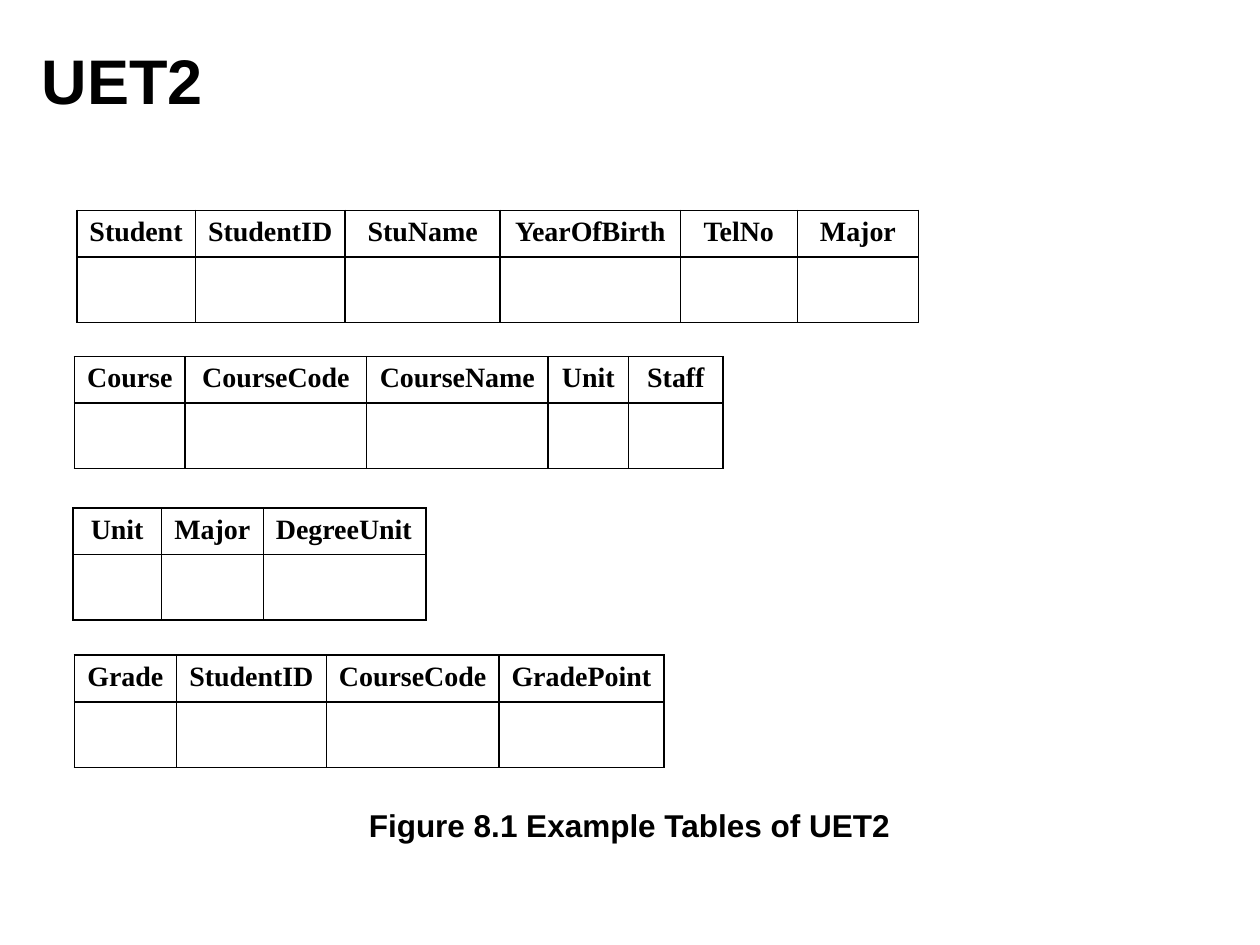
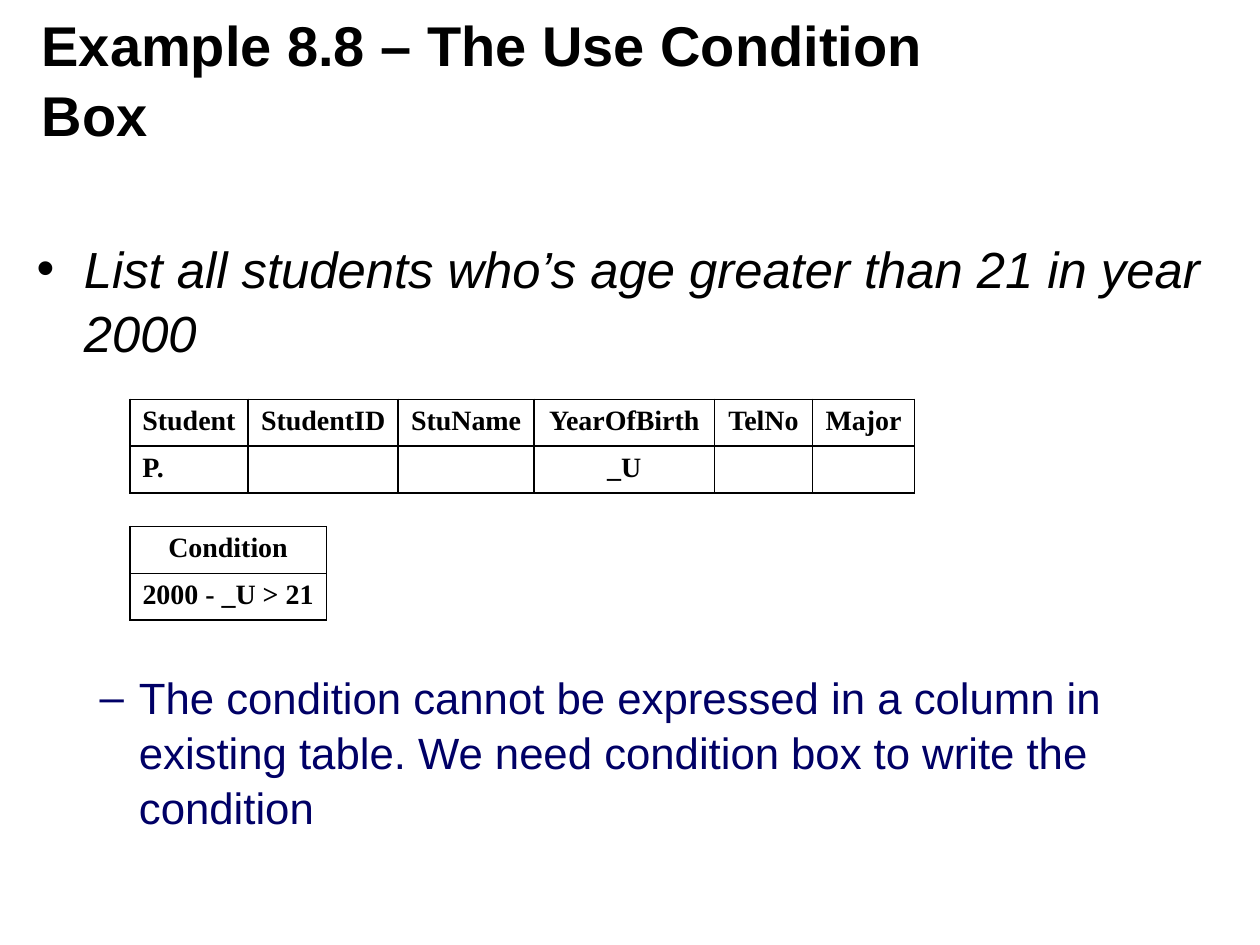
"""Build two slides on the tables of UET2 and the use of a condition box."""
from dataclasses import dataclass

import lxml.etree
import pptx
import pptx.dml.color
import pptx.enum.text
import pptx.oxml.ns
import pptx.slide
import pptx.text.text
import pptx.util

Inches = pptx.util.Inches
Pt = pptx.util.Pt
Align = pptx.enum.text.PP_ALIGN
Anchor = pptx.enum.text.MSO_ANCHOR
AutoSize = pptx.enum.text.MSO_AUTO_SIZE
qn = pptx.oxml.ns.qn

BLACK = pptx.dml.color.RGBColor(0x00, 0x00, 0x00)
NAVY = pptx.dml.color.RGBColor(0x00, 0x00, 0x66)
SANS = "Arial"
SERIF = "Times New Roman"
CELL_SIZE = 16
HEAD_ROW = 0.37
TALL_ROW = 0.52


@dataclass(frozen=True)
class Grid:
    """A table with one head row and one entry row."""

    left: float
    top: float
    heads: tuple[str, ...]
    widths: tuple[float, ...]
    entries: tuple[str, ...] = ()
    height: float = TALL_ROW
    left_texts: tuple[str, ...] = ()


@dataclass(frozen=True)
class Point:
    """A list item with its level and look."""

    text: str
    level: int
    size: float
    color: pptx.dml.color.RGBColor
    italic: bool = False
    before: float = 0


UET2_GRIDS = (
    Grid(0.61, 1.67, ("Student", "StudentID", "StuName", "YearOfBirth", "TelNo", "Major"),
         (0.94, 1.19, 1.23, 1.43, 0.93, 0.96)),
    Grid(0.59, 2.83, ("Course", "CourseCode", "CourseName", "Unit", "Staff"),
         (0.88, 1.44, 1.44, 0.64, 0.75)),
    Grid(0.58, 4.03, ("Unit", "Major", "DegreeUnit"), (0.7, 0.81, 1.29),
         left_texts=("DegreeUnit",)),
    Grid(0.59, 5.2, ("Grade", "StudentID", "CourseCode", "GradePoint"),
         (0.81, 1.19, 1.37, 1.31)),
)
QUERY_GRIDS = (
    Grid(1.03, 3.17, ("Student", "StudentID", "StuName", "YearOfBirth", "TelNo", "Major"),
         (0.94, 1.19, 1.08, 1.43, 0.78, 0.81), ("P.", "", "", "_U", "", ""), HEAD_ROW, ("P.",)),
    Grid(1.03, 4.18, ("Condition",), (1.56,), ("2000 - _U > 21",), HEAD_ROW),
)
POINTS = (
    Point("List all students who’s age greater than 21 in year 2000", 0, 29, BLACK, italic=True),
    Point("The condition cannot be expressed in a column in existing table. "
          "We need condition box to write the condition", 1, 25, NAVY, before=175),
)


def style(par: pptx.text.text._Paragraph, name: str, size: float, bold: bool = False,
          italic: bool = False, color: pptx.dml.color.RGBColor = BLACK) -> None:
    """Format every run of a paragraph."""
    for run in par.runs:
        run.font.name = name
        run.font.size = Pt(size)
        run.font.bold = bold
        run.font.italic = italic
        run.font.color.rgb = color


def place(shape, left: float, top: float, width: float, height: float) -> None:
    """Move and size a shape."""
    shape.left, shape.top = Inches(left), Inches(top)
    shape.width, shape.height = Inches(width), Inches(height)


def add_title(slide: pptx.slide.Slide, text: str, size: float) -> None:
    """Fill the title in the shared title style."""
    title = slide.shapes.title
    place(title, 0.23, 0.15, 8.03, 0.93)
    frame = title.text_frame
    frame.text = text
    frame.auto_size = AutoSize.NONE
    frame.vertical_anchor = Anchor.MIDDLE
    par = frame.paragraphs[0]
    par.alignment = Align.LEFT
    par.line_spacing = 1.04
    style(par, SANS, size, bold=True)


def add_points(slide: pptx.slide.Slide, points: tuple[Point, ...]) -> None:
    """Fill the body with list items."""
    body = slide.placeholders[1]
    place(body, 0.19, 1.81, 9.61, 4.82)
    frame = body.text_frame
    frame.text = "\n".join(point.text for point in points)
    frame.auto_size = AutoSize.NONE
    for par, point in zip(frame.paragraphs, points):
        par.level = point.level
        par.space_before = Pt(point.before)
        par.line_spacing = 1.05
        style(par, SANS, point.size, italic=point.italic, color=point.color)


def rule_cell(cell) -> None:
    """Draw thin black lines round a cell and clear its fill."""
    props = cell._tc.get_or_add_tcPr()
    for side in ("lnL", "lnR", "lnT", "lnB"):
        line = lxml.etree.SubElement(props, qn(f"a:{side}"), w=str(Pt(0.96)))
        fill = lxml.etree.SubElement(line, qn("a:solidFill"))
        lxml.etree.SubElement(fill, qn("a:srgbClr"), val=str(BLACK))
    cell.fill.background()


def fill_cell(cell, text: str, align: Align) -> None:
    """Write a cell, keeping an empty one at the same text size."""
    par = cell.text_frame.paragraphs[0]
    if text:
        par.text = text
        par.alignment = align
        style(par, SERIF, CELL_SIZE, bold=True)
    else:
        lxml.etree.SubElement(par._p, qn("a:endParaRPr"), sz=str(CELL_SIZE * 100))


def add_grid(slide: pptx.slide.Slide, grid: Grid) -> None:
    """Add a ruled table."""
    count = len(grid.heads)
    frame = slide.shapes.add_table(
        2, count, Inches(grid.left), Inches(grid.top),
        Inches(sum(grid.widths)), Inches(HEAD_ROW + grid.height))
    table = frame.table
    table.first_row = table.horz_banding = False
    for column, width in zip(table.columns, grid.widths):
        column.width = Inches(width)
    for row, height in zip(table.rows, (HEAD_ROW, grid.height)):
        row.height = Inches(height)
    texts = grid.heads + (grid.entries or ("",) * count)
    for cell, text in zip(table.iter_cells(), texts):
        rule_cell(cell)
        fill_cell(cell, text, Align.LEFT if text in grid.left_texts else Align.CENTER)


def add_caption(slide: pptx.slide.Slide, text: str) -> None:
    """Add a centred figure caption."""
    box = slide.shapes.add_textbox(Inches(2.82), Inches(6.35), Inches(4.35), Inches(0.4))
    frame = box.text_frame
    frame.text = text
    frame.word_wrap = False
    frame.auto_size = AutoSize.SHAPE_TO_FIT_TEXT
    frame.vertical_anchor = Anchor.MIDDLE
    par = frame.paragraphs[0]
    par.alignment = Align.CENTER
    style(par, SANS, 18, bold=True)


def main() -> None:
    """Build and save the deck."""
    deck = pptx.Presentation()
    deck.slide_width, deck.slide_height = Inches(10), Inches(7.5)
    list_layout, title_layout = deck.slide_layouts[1], deck.slide_layouts[5]

    tables = deck.slides.add_slide(title_layout)
    add_title(tables, "UET2", 36)
    for grid in UET2_GRIDS:
        add_grid(tables, grid)
    add_caption(tables, "Figure 8.1 Example Tables of UET2")

    query = deck.slides.add_slide(list_layout)
    add_title(query, "Example 8.8 – The Use Condition Box", 32)
    add_points(query, POINTS)
    for grid in QUERY_GRIDS:
        add_grid(query, grid)

    deck.save("out.pptx")


if __name__ == "__main__":
    main()
